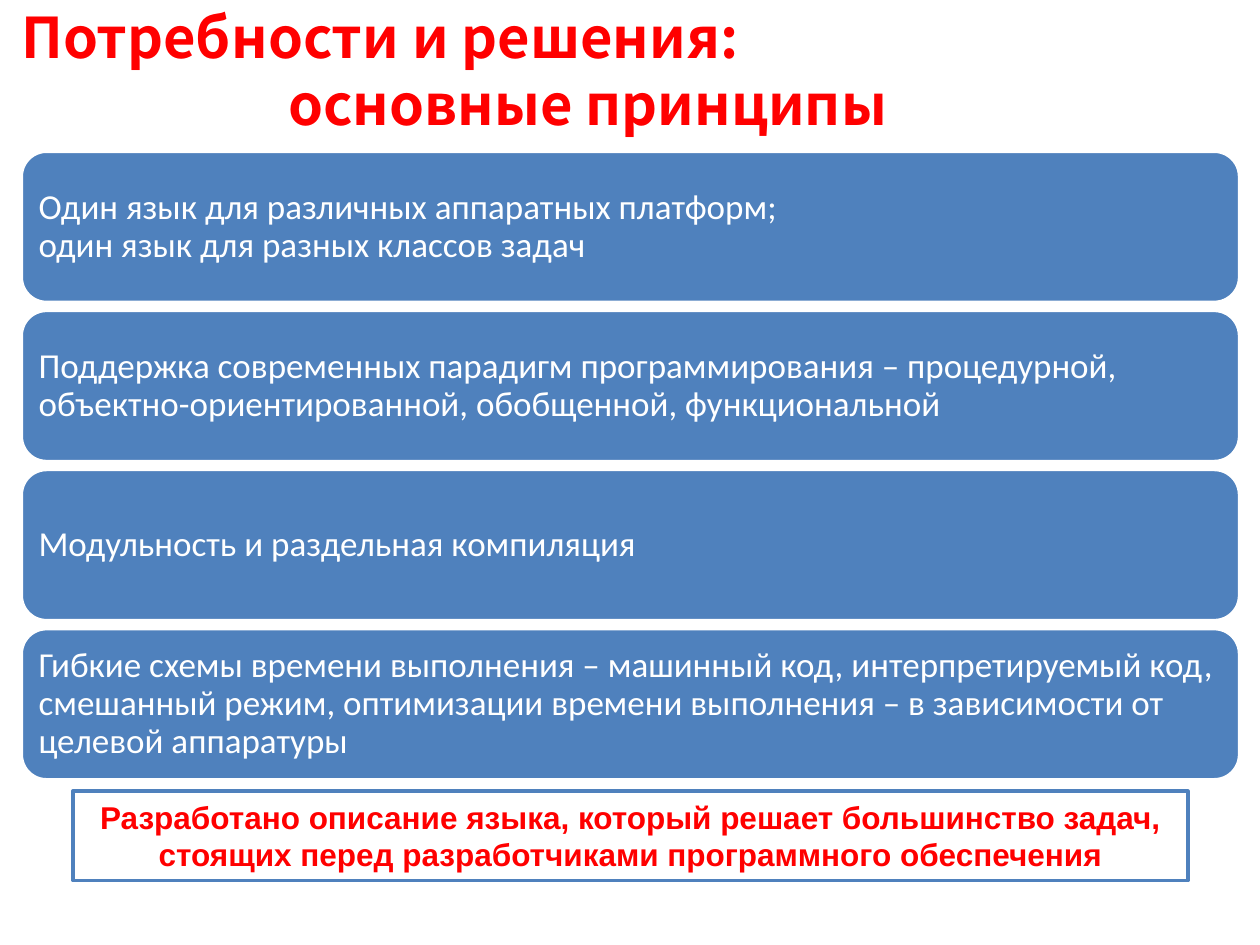
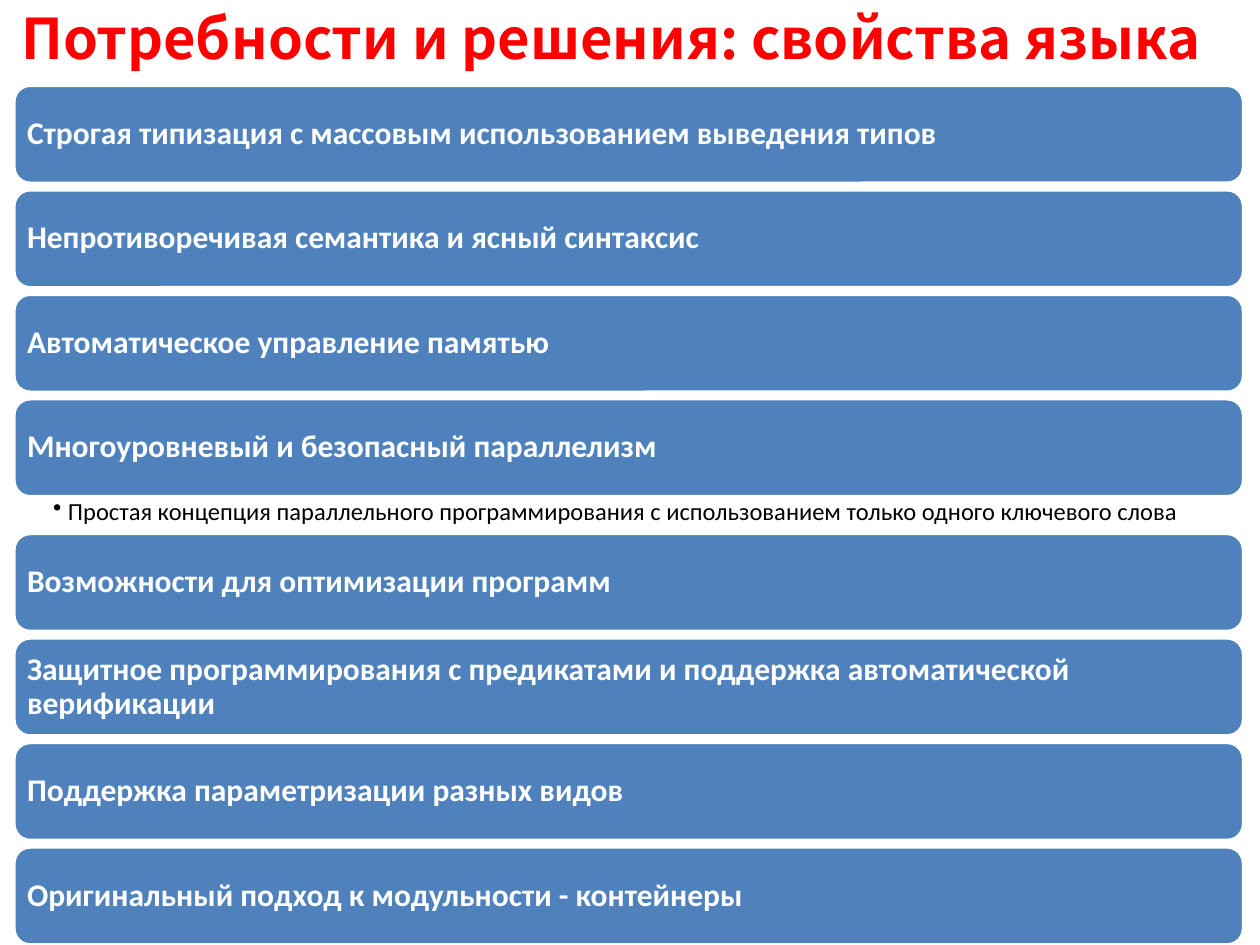
from dataclasses import dataclass

from pptx import Presentation
from pptx.dml.color import RGBColor as Rgb
from pptx.enum.shapes import MSO_SHAPE as Shape
from pptx.enum.text import MSO_ANCHOR as Anchor, PP_ALIGN as Align
from pptx.oxml.ns import qn
from pptx.util import Cm, Pt
from lxml.etree import SubElement


@dataclass(frozen=True)
class Theme:
    red: Rgb = Rgb(0xFF, 0x00, 0x00)
    blue: Rgb = Rgb(0x4F, 0x81, 0xBD)
    white: Rgb = Rgb(0xFF, 0xFF, 0xFF)
    black: Rgb = Rgb(0x00, 0x00, 0x00)
    title_font: str = "Noto Sans CJK KR"
    body_font: str = "Calibri"
    conclusion_font: str = "Arial"
    title_size: int = 32
    principle_size: int = 20
    property_size: int = 18
    note_size: int = 14
    outline: int = 2
    line_spacing: float = 0.9


@dataclass(frozen=True)
class Box:
    left: float
    top: float
    width: float
    height: float

    def lengths(self):
        return [Cm(side) for side in (self.left, self.top, self.width, self.height)]


THEME = Theme()

PRINCIPLES = [
    "Один язык для различных аппаратных платформ;\nодин язык для разных классов задач",
    "Поддержка современных парадигм программирования – процедурной, "
    "объектно-ориентированной, обобщенной, функциональной",
    "Модульность и раздельная компиляция",
    "Гибкие схемы времени выполнения – машинный код, интерпретируемый код, "
    "смешанный режим, оптимизации времени выполнения – в зависимости от "
    "целевой аппаратуры",
]
CONCLUSION = ("Разработано описание языка, который решает большинство задач, "
              "стоящих перед разработчиками программного обеспечения")

PROPERTIES = [
    "Строгая типизация с массовым использованием выведения типов",
    "Непротиворечивая семантика и ясный синтаксис",
    "Автоматическое управление памятью",
    "Многоуровневый и безопасный параллелизм",
    "Возможности для оптимизации программ",
    "Защитное программирования с предикатами и поддержка автоматической верификации",
    "Поддержка параметризации разных видов",
    "Оригинальный подход к модульности - контейнеры",
]
# Notes by the position of the bar they follow
PROPERTY_NOTES = {
    3: "Простая концепция параллельного программирования "
       "с использованием только одного ключевого слова",
}


def set_insets(frame, left, top, right, bottom):
    frame.word_wrap = True
    frame.margin_left, frame.margin_top = Cm(left), Cm(top)
    frame.margin_right, frame.margin_bottom = Cm(right), Cm(bottom)


def write(para, text, font, size, color, bold=False):
    """Add one styled run per line, with line breaks between."""
    for number, line in enumerate(text.split("\n")):
        if number:
            para.add_line_break()
        span = para.add_run()
        span.text = line
        span.font.name, span.font.size = font, Pt(size)
        span.font.color.rgb, span.font.bold = color, bold


def indent(para, left, first=0):
    properties = para._p.get_or_add_pPr()
    properties.set("marL", str(Cm(left)))
    properties.set("indent", str(Cm(first)))
    return properties


def add_panel(page, kind, box, fill, line):
    panel = page.shapes.add_shape(kind, *box.lengths())
    panel.shadow.inherit = False
    panel.fill.solid()
    panel.fill.fore_color.rgb = fill
    panel.line.color.rgb = line
    panel.line.width = Pt(THEME.outline)
    return panel


def add_title(page, box, lines, second_indent=0):
    frame = page.shapes.add_textbox(*box.lengths()).text_frame
    set_insets(frame, 0, 0, 0.25, 0.13)
    for number, line in enumerate(lines):
        para = frame.add_paragraph() if number else frame.paragraphs[0]
        if number:
            indent(para, second_indent)
        write(para, line, THEME.title_font, THEME.title_size, THEME.red, bold=True)


def add_bar(page, box, text, size, inset, bold):
    bar = add_panel(page, Shape.ROUNDED_RECTANGLE, box, THEME.blue, THEME.white)
    frame = bar.text_frame
    set_insets(frame, inset, inset, inset, inset)
    frame.vertical_anchor = Anchor.MIDDLE
    para = frame.paragraphs[0]
    para.alignment, para.line_spacing = Align.LEFT, THEME.line_spacing
    write(para, text, THEME.body_font, size, THEME.white, bold)


def add_note(page, box, text):
    frame = page.shapes.add_textbox(*box.lengths()).text_frame
    set_insets(frame, 0.79, 0.05, 0.28, 0.05)
    para = frame.paragraphs[0]
    para.line_spacing = THEME.line_spacing
    SubElement(indent(para, 0.3, -0.3), qn("a:buChar")).set("char", "•")
    write(para, text, THEME.body_font, THEME.note_size, THEME.black)


def add_bar_list(page, box, texts, gap, size, inset, bold=False, notes=None, note_height=0):
    """Stack equal bars in the box; a note takes the place of the gap below its bar."""
    notes = notes or {}
    gaps = [note_height if number in notes else gap for number in range(len(texts) - 1)]
    height = (box.height - sum(gaps)) / len(texts)
    top = box.top
    for number, text in enumerate(texts):
        add_bar(page, Box(box.left, top, box.width, height), text, size, inset, bold)
        top += height
        if number in notes:
            add_note(page, Box(box.left, top, box.width, note_height), notes[number])
        if number < len(gaps):
            top += gaps[number]


def add_conclusion(page, box, text):
    panel = add_panel(page, Shape.RECTANGLE, box, THEME.white, THEME.blue)
    frame = panel.text_frame
    set_insets(frame, 0.25, 0.13, 0.25, 0.13)
    frame.vertical_anchor = Anchor.TOP
    para = frame.paragraphs[0]
    para.alignment = Align.CENTER
    write(para, text, THEME.conclusion_font, THEME.property_size, THEME.red, bold=True)


def build_principles(page):
    add_title(page, Box(0.43, 0.05, 22.86, 2.87),
              ["Потребности и решения:", "основные принципы"], second_indent=5.38)
    add_bar_list(page, Box(0.43, 3.05, 24.56, 12.67), PRINCIPLES, gap=0.16,
                 size=THEME.principle_size, inset=0.2)
    add_conclusion(page, Box(1.47, 15.95, 22.48, 1.8), CONCLUSION)


def build_properties(page):
    add_title(page, Box(0.43, 0.08, 24.69, 1.5), ["Потребности и решения: свойства языка"])
    add_bar_list(page, Box(0.28, 1.72, 24.79, 17.33), PROPERTIES, gap=0.13,
                 size=THEME.property_size, inset=0.17, bold=True,
                 notes=PROPERTY_NOTES, note_height=0.74)


def main():
    deck = Presentation()
    deck.slide_width, deck.slide_height = Cm(25.4), Cm(19.05)
    blank = deck.slide_layouts[6]
    for build in (build_principles, build_properties):
        build(deck.slides.add_slide(blank))
    deck.save("out.pptx")


if __name__ == "__main__":
    main()
